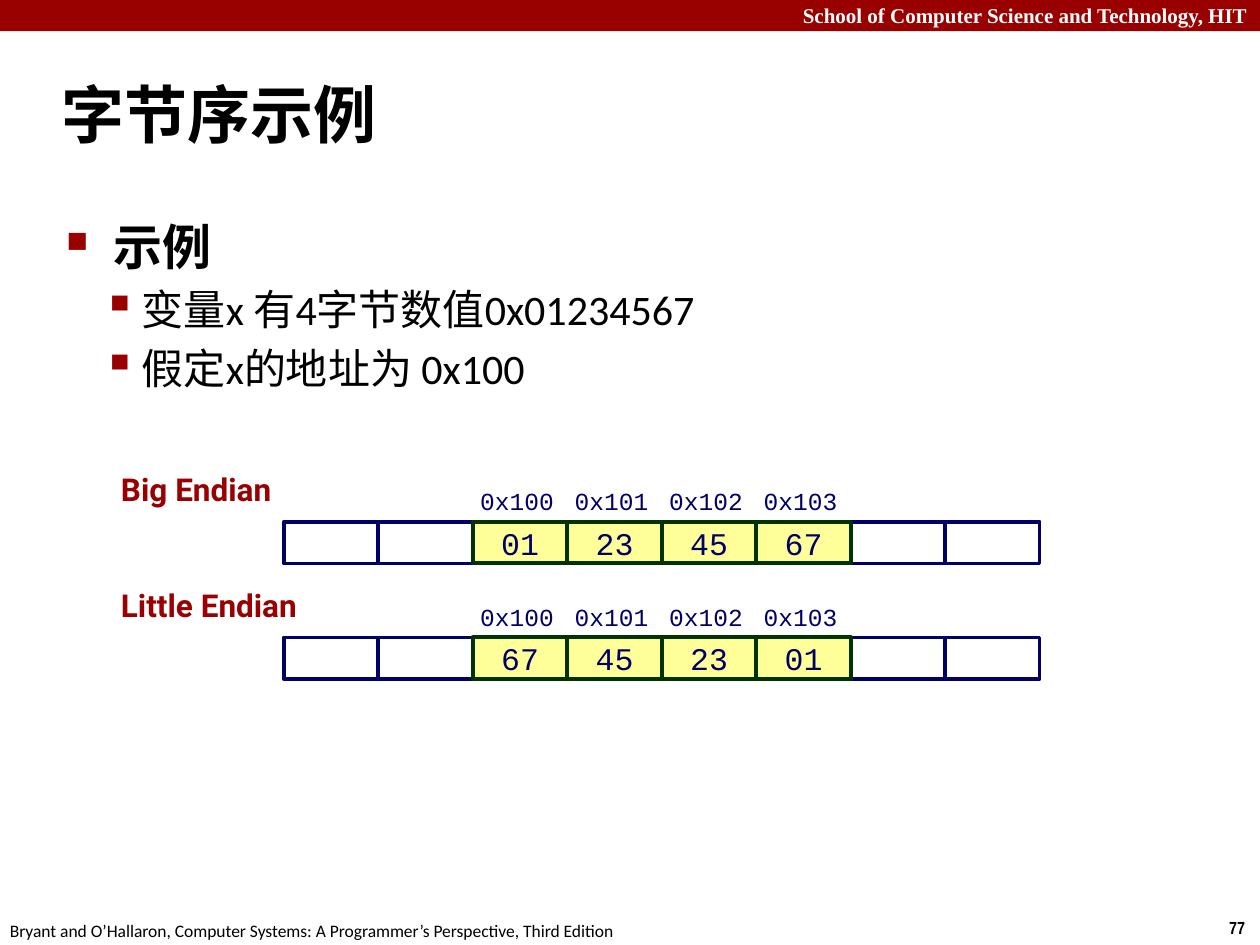
"""Build the byte order example slide with big and little endian memory rows."""
from dataclasses import dataclass
from typing import Optional

from lxml import etree
from pptx import Presentation
from pptx.dml.color import RGBColor
from pptx.enum.shapes import MSO_SHAPE
from pptx.enum.text import MSO_ANCHOR, PP_ALIGN
from pptx.oxml.ns import qn
from pptx.util import Cm, Pt

RECTANGLE = MSO_SHAPE.RECTANGLE
TOP, MIDDLE = MSO_ANCHOR.TOP, MSO_ANCHOR.MIDDLE
LEFT, CENTER, RIGHT = PP_ALIGN.LEFT, PP_ALIGN.CENTER, PP_ALIGN.RIGHT


@dataclass(frozen=True)
class TextStyle:
    font: str
    size: float
    color: str
    bold: bool = False


@dataclass(frozen=True)
class CellStyle:
    fill: str
    text: TextStyle
    line: Optional[str] = None
    line_width: float = 0
    align: PP_ALIGN = CENTER


@dataclass(frozen=True)
class Bullet:
    char: str
    percent: int
    margin: float
    hanging: float
    space_before: float


@dataclass(frozen=True)
class Point:
    text: str
    style: TextStyle
    bullet: Bullet


@dataclass(frozen=True)
class MemoryRow:
    label: str
    values: tuple[str, ...]


@dataclass(frozen=True)
class Theme:
    accent: str = "990000"
    school: TextStyle = TextStyle("Times New Roman", 12, "FFFFFF", True)
    page: TextStyle = TextStyle("Arial Narrow", 10, "000000", True)
    citation: TextStyle = TextStyle("Calibri", 10, "000000")
    title: TextStyle = TextStyle("Calibri", 36, "000000", True)
    topic: TextStyle = TextStyle("Calibri", 28, "000000", True)
    detail: TextStyle = TextStyle("Calibri", 24, "000000")
    row_label: TextStyle = TextStyle("Roboto", 18, "980002", True)
    address: CellStyle = CellStyle("FFFFFF", TextStyle("Courier New", 14, "000066"), align=LEFT)
    empty: CellStyle = CellStyle("FFFFFF", TextStyle("Courier New", 18, "000066"), "000066", 2)
    byte: CellStyle = CellStyle("FFFF99", TextStyle("Courier New", 18, "000066"), "003300", 2.25)


THEME = Theme()
SLIDE_WIDTH, SLIDE_HEIGHT = 25.4, 19.05
HEADER_HEIGHT = 0.63
TOPIC_BULLET = Bullet("■", 60, 0.95, 0.95, 5.6)
DETAIL_BULLET = Bullet("▪", 110, 1.52, 0.79, 4.8)
POINTS = (
    Point("示例", THEME.topic, TOPIC_BULLET),
    Point("变量x 有4字节数值0x01234567", THEME.detail, DETAIL_BULLET),
    Point("假定x的地址为 0x100", THEME.detail, DETAIL_BULLET),
)
ADDRESSES = ("0x100", "0x101", "0x102", "0x103")
MEMORY_ROWS = (
    MemoryRow("Big Endian", ("01", "23", "45", "67")),
    MemoryRow("Little Endian", ("67", "45", "23", "01")),
)
CELL_COUNT, FIRST_BYTE = 8, 2
ROW_LEFT, ROW_TOP, ROW_PITCH = 5.72, 10.52, 2.33
CELL_WIDTH, CELL_HEIGHT = 15.24 / CELL_COUNT, 0.84
LABEL_LEFT, LABEL_RISE = 2.34, 1.07


def apply(target, values: dict) -> None:
    for name, value in values.items():
        setattr(target, name, value)


def write(paragraph, text: str, style: TextStyle, align: PP_ALIGN = LEFT) -> None:
    run = paragraph.add_run()
    run.text = text
    paragraph.alignment = align
    apply(run.font, {"name": style.font, "size": Pt(style.size), "bold": style.bold})
    run.font.color.rgb = RGBColor.from_string(style.color)


def set_bullet(paragraph, bullet: Bullet) -> None:
    paragraph.space_before = Pt(bullet.space_before)
    properties = paragraph._p.get_or_add_pPr()
    properties.set("marL", str(Cm(bullet.margin)))
    properties.set("indent", str(-Cm(bullet.hanging)))
    color = etree.SubElement(properties, qn("a:buClr"))
    etree.SubElement(color, qn("a:srgbClr"), val=THEME.accent)
    etree.SubElement(properties, qn("a:buSzPct"), val=str(bullet.percent * 1000))
    etree.SubElement(properties, qn("a:buChar"), char=bullet.char)


def add_frame(slide, left: float, top: float, width: float, height: float,
              wrap: bool = True, anchor: MSO_ANCHOR = TOP):
    box = slide.shapes.add_textbox(Cm(left), Cm(top), Cm(width), Cm(height))
    apply(box.text_frame, {"word_wrap": wrap, "vertical_anchor": anchor})
    return box.text_frame


def add_cell(slide, left: float, top: float, width: float, height: float,
             style: CellStyle, text: str = "") -> None:
    cell = slide.shapes.add_shape(RECTANGLE, Cm(left), Cm(top), Cm(width), Cm(height))
    cell.shadow.inherit = False
    cell.fill.solid()
    cell.fill.fore_color.rgb = RGBColor.from_string(style.fill)
    if style.line:
        cell.line.color.rgb = RGBColor.from_string(style.line)
        cell.line.width = Pt(style.line_width)
    else:
        cell.line.fill.background()
    if text:
        inset = Cm(0.15)
        apply(cell.text_frame, {
            "margin_left": inset, "margin_right": inset if style.align == CENTER else 0,
            "margin_top": 0, "margin_bottom": 0,
            "word_wrap": True, "vertical_anchor": MIDDLE,
        })
        write(cell.text_frame.paragraphs[0], text, style.text, style.align)


def add_memory_row(slide, row: MemoryRow, top: float) -> None:
    label = add_frame(slide, LABEL_LEFT, top - LABEL_RISE, 4.98, 0.91)
    apply(label, {"margin_left": Cm(0.1), "margin_right": Cm(0.18),
                  "margin_top": Cm(0.08), "margin_bottom": Cm(0.08)})
    label.paragraphs[0].line_spacing = 0.95
    write(label.paragraphs[0], row.label, THEME.row_label)

    byte_columns = range(FIRST_BYTE, FIRST_BYTE + len(row.values))
    lefts = [ROW_LEFT + column * CELL_WIDTH for column in range(CELL_COUNT)]
    for column, left in enumerate(lefts):
        if column not in byte_columns:
            add_cell(slide, left, top, CELL_WIDTH, CELL_HEIGHT, THEME.empty)
    for column, address, value in zip(byte_columns, ADDRESSES, row.values):
        left = lefts[column]
        add_cell(slide, left, top - CELL_HEIGHT, CELL_WIDTH, CELL_HEIGHT, THEME.address, address)
        add_cell(slide, left, top, CELL_WIDTH, CELL_HEIGHT, THEME.byte, value)


def add_page_furniture(slide) -> None:
    add_cell(slide, 0, 0, SLIDE_WIDTH, HEADER_HEIGHT, CellStyle(THEME.accent, THEME.school))
    school = add_frame(slide, 0, -0.07, SLIDE_WIDTH, 0.77)
    write(school.paragraphs[0], "School of Computer Science and Technology, HIT",
          THEME.school, RIGHT)
    page = add_frame(slide, 24.53, 18.36, 0.87, 0.68, wrap=False)
    write(page.paragraphs[0], "77", THEME.page)
    citation = add_frame(slide, -0.05, 18.42, 12.9, 0.68, wrap=False)
    write(citation.paragraphs[0],
          "Bryant and O’Hallaron, Computer Systems: A Programmer’s Perspective, Third Edition",
          THEME.citation)


def add_points(slide) -> None:
    body = add_frame(slide, 1.09, 4.24, 21.95, 13.36)
    for index, point in enumerate(POINTS):
        paragraph = body.add_paragraph() if index else body.paragraphs[0]
        write(paragraph, point.text, point.style)
        set_bullet(paragraph, point.bullet)


def main() -> None:
    deck = Presentation()
    apply(deck, {"slide_width": Cm(SLIDE_WIDTH), "slide_height": Cm(SLIDE_HEIGHT)})
    slide = deck.slides.add_slide(deck.slide_layouts[6])
    add_page_furniture(slide)
    title = add_frame(slide, 0.99, 1.22, 24.41, 2.11, anchor=MIDDLE)
    write(title.paragraphs[0], "字节序示例", THEME.title)
    add_points(slide)
    for index, row in enumerate(MEMORY_ROWS):
        add_memory_row(slide, row, ROW_TOP + index * ROW_PITCH)
    deck.save("out.pptx")


if __name__ == "__main__":
    main()
